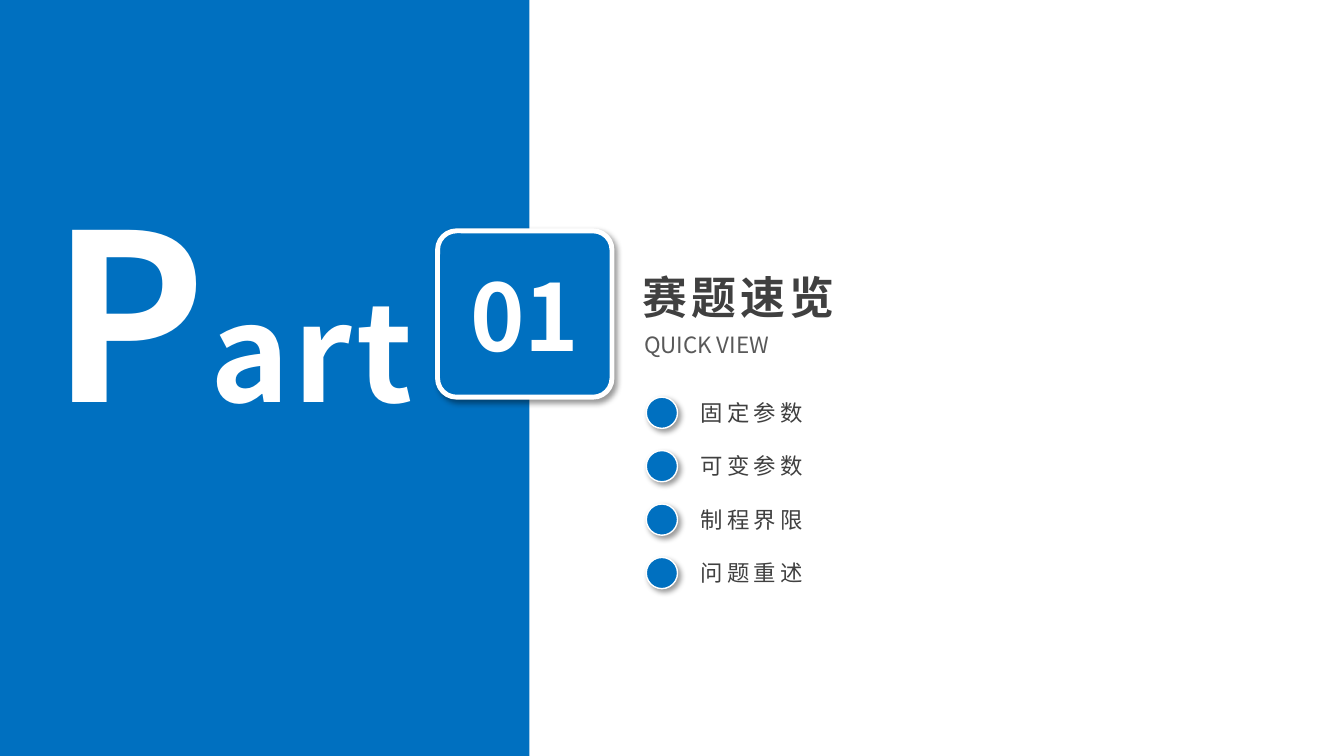
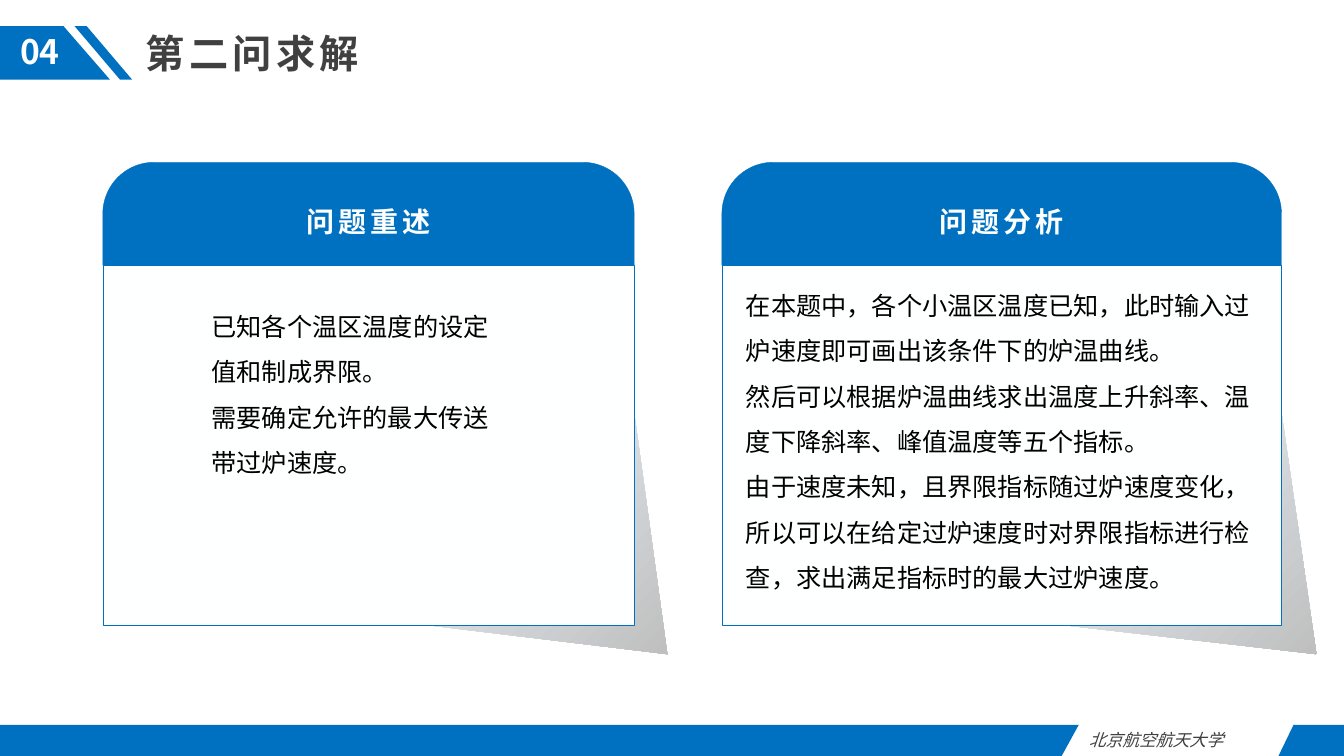
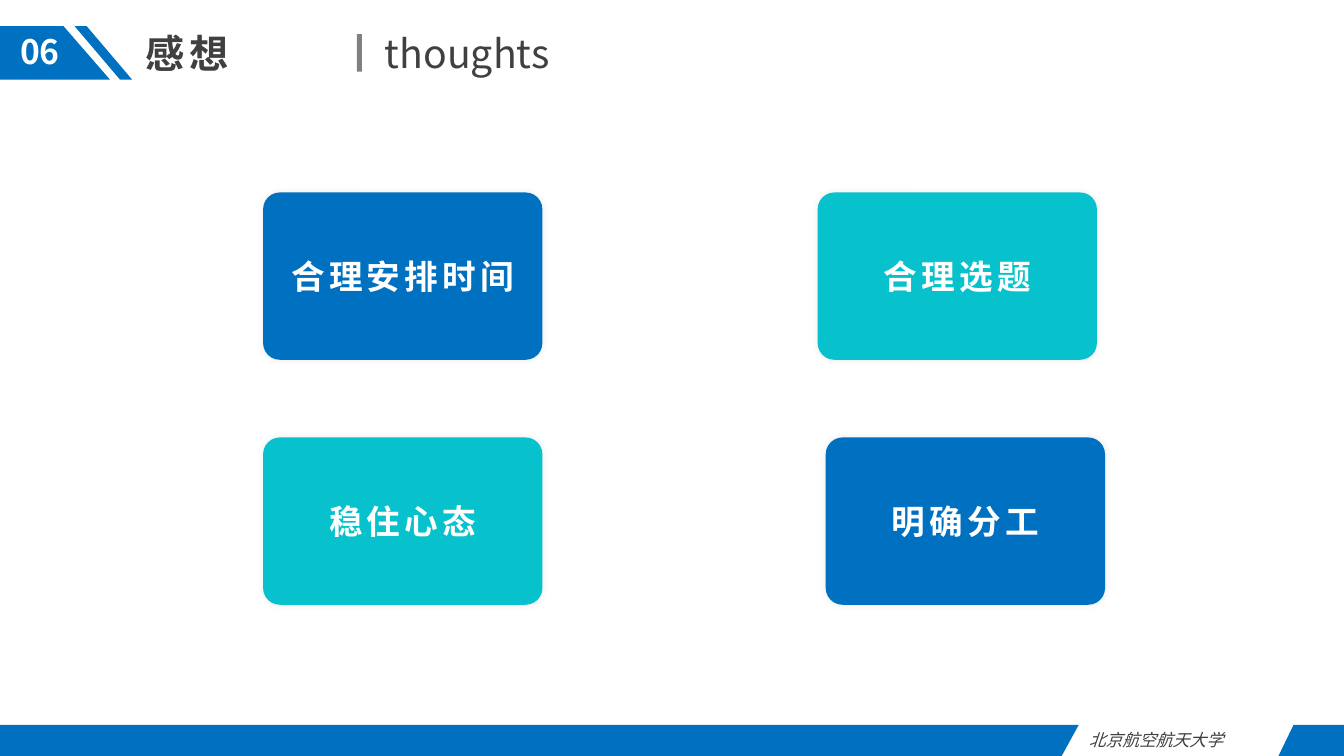
from dataclasses import dataclass
from typing import NamedTuple, Optional

from lxml import etree
from pptx import Presentation
from pptx import util as u
from pptx.dml.color import RGBColor
from pptx.enum import shapes, text
from pptx.oxml import ns
from pptx.shapes.autoshape import Shape
from pptx.slide import Slide
from pptx.text.text import TextFrame

Inches, Pt = u.Inches, u.Pt
Preset, Align = shapes.MSO_SHAPE, text.PP_ALIGN


@dataclass(frozen=True)
class Theme:
    font: str = "Noto Sans CJK SC"
    blue: str = "0070C0"
    teal: str = "07C1CC"
    white: str = "FFFFFF"
    paper: str = "FEFFFF"
    black: str = "000000"
    ink: str = "404040"
    subtitle: str = "595959"
    divider: str = "808080"
    fold_light: str = "EFF8FF"
    fold_dark: str = "BFBFBF"
    initial_size: float = 166
    part_size: float = 96
    number_size: float = 66
    section_size: float = 32
    title_size: float = 28
    tile_size: float = 24
    card_title_size: float = 20
    body_size: float = 18
    item_size: float = 16
    footer_size: float = 12
    tracking: float = 3


THEME = Theme()


class Box(NamedTuple):
    left: float
    top: float
    width: float
    height: float

    def lengths(self) -> list[u.Length]:
        return [Inches(value) for value in self]


class Shadow(NamedTuple):
    opacity: int
    blur: float
    distance: float
    angle: int


class Style(NamedTuple):
    size: float
    color: str = THEME.ink
    bold: bool = False
    italic: bool = False
    tracking: float = 0
    align: Optional[Align] = None
    spacing: Optional[float] = None


class Card(NamedTuple):
    left: float
    width: float
    title: str
    body_box: Box
    body: list[str]


class Tile(NamedTuple):
    left: float
    top: float
    label: str
    color: str


RAISED = Shadow(40, 4, 3, 45)
GLOW = Shadow(8, 5, 0, 0)


def style_paragraphs(frame: TextFrame, style: Style) -> None:
    for paragraph in frame.paragraphs:
        paragraph.alignment = style.align
        paragraph.line_spacing = style.spacing
        font = paragraph.font
        font.size, font.name = Pt(style.size), THEME.font
        font.bold, font.italic = style.bold, style.italic
        font.color.rgb = RGBColor.from_string(style.color)
        properties = paragraph._p.get_or_add_pPr().get_or_add_defRPr()
        properties.set("spc", str(int(style.tracking * 100)))
        etree.SubElement(properties, ns.qn("a:ea"), typeface=THEME.font)


def add_text(slide: Slide, box: Box, lines: list[str], style: Style,
             wrap: bool = True) -> TextFrame:
    frame = slide.shapes.add_textbox(*box.lengths()).text_frame
    frame.word_wrap = wrap
    frame.auto_size = text.MSO_AUTO_SIZE.SHAPE_TO_FIT_TEXT
    frame.text = "\n".join(lines)
    style_paragraphs(frame, style)
    return frame


def finish(shape: Shape, fill: str, line: Optional[str] = None,
           weight: float = 0, shadow: Optional[Shadow] = None) -> None:
    shape.fill.solid()
    shape.fill.fore_color.rgb = RGBColor.from_string(fill)
    if line:
        shape.line.color.rgb = RGBColor.from_string(line)
        shape.line.width = Pt(weight)
    else:
        shape.line.fill.background()
    shape.shadow.inherit = False
    if shadow:
        effects = shape._element.spPr.find(ns.qn("a:effectLst"))
        outer = etree.SubElement(
            effects, ns.qn("a:outerShdw"), blurRad=str(Pt(shadow.blur)),
            dist=str(Pt(shadow.distance)), dir=str(shadow.angle * 60000),
            algn="ctr", rotWithShape="0")
        tint = etree.SubElement(outer, ns.qn("a:srgbClr"), val=THEME.black)
        etree.SubElement(tint, ns.qn("a:alpha"), val=str(shadow.opacity * 1000))


def add_preset(slide: Slide, preset: Preset, box: Box, fill: str,
               line: Optional[str] = None, weight: float = 0,
               shadow: Optional[Shadow] = None,
               adjust: tuple[float, ...] = ()) -> Shape:
    shape = slide.shapes.add_shape(preset, *box.lengths())
    for index, value in enumerate(adjust):
        shape.adjustments[index] = value
    finish(shape, fill, line, weight, shadow)
    return shape


def add_label(shape: Shape, label: str, style: Style) -> None:
    frame = shape.text_frame
    frame.word_wrap = True
    frame.vertical_anchor = text.MSO_ANCHOR.MIDDLE
    frame.text = label
    style_paragraphs(frame, style)


def add_polygon(slide: Slide, points: list[tuple[float, float]],
                fill: str) -> Shape:
    corners = [(Inches(x), Inches(y)) for x, y in points]
    builder = slide.shapes.build_freeform(*corners[0])
    builder.add_line_segments(corners[1:], close=True)
    shape = builder.convert_to_shape()
    finish(shape, fill)
    return shape


def add_frame(slide: Slide, number: str, title: str, title_width: float) -> None:
    add_text(slide, Box(1.35, 0.24, title_width, 0.57), [title],
             Style(THEME.title_size, bold=True, tracking=THEME.tracking))
    bands = [
        [(0, 0.26), (0.63, 0.26), (1.09, 0.79), (0, 0.79)],
        [(0.86, 0.26), (1.31, 0.79), (1.19, 0.79), (0.74, 0.26)],
        [(0, 7.19), (10.7, 7.19), (10.53, 7.5), (0, 7.5)],
        [(12.83, 7.19), (13.33, 7.19), (13.33, 7.5), (12.68, 7.5)],
    ]
    for band in bands:
        add_polygon(slide, band, THEME.blue)
    add_text(slide, Box(0, 0.26, 0.79, 0.5), [number],
             Style(THEME.tile_size, THEME.white, bold=True, align=Align.CENTER))
    add_text(slide, Box(10.7, 7.19, 1.98, 0.3), ["北京航空航天大学"],
             Style(THEME.footer_size, italic=True, align=Align.JUSTIFY))


def add_card(slide: Slide, card: Card) -> None:
    top, middle, bottom = 1.61, 2.63, 6.2
    right = card.left + card.width
    fold = add_polygon(slide, [
        (right, 4.09), (right + card.width / 16, 6.49),
        (right - card.width * 0.44, 6.17), (right, 6.17)], THEME.fold_dark)
    fold.fill.gradient()
    fold.fill.gradient_angle = 315
    for stop, color in zip(fold.fill.gradient_stops,
                           (THEME.fold_light, THEME.fold_dark)):
        stop.color.rgb = RGBColor.from_string(color)
    header = add_preset(slide, Preset.ROUND_2_SAME_RECTANGLE,
                        Box(card.left, top, card.width, middle - top),
                        THEME.blue, THEME.blue, 0.25, adjust=(0.5, 0))
    add_label(header, card.title,
              Style(THEME.card_title_size, THEME.paper, bold=True,
                    tracking=THEME.tracking, align=Align.CENTER))
    add_preset(slide, Preset.RECTANGLE,
               Box(card.left, middle, card.width, bottom - middle),
               THEME.paper, THEME.blue, 0.25)
    add_text(slide, card.body_box, card.body,
             Style(THEME.body_size, THEME.black, spacing=1.5))


def build_section(slide: Slide) -> None:
    add_preset(slide, Preset.RECTANGLE, Box(0, 0, 5.25, 7.5), THEME.blue)
    part = add_text(slide, Box(-0.83, 1.64, 6.27, 2.89), [""],
                    Style(THEME.part_size, THEME.white, bold=True,
                          tracking=THEME.tracking, align=Align.CENTER))
    for letters, size in (("P", THEME.initial_size), ("art", THEME.part_size)):
        run = part.paragraphs[0].add_run()
        run.text = letters
        run.font.size = Pt(size)
    add_preset(slide, Preset.ROUNDED_RECTANGLE, Box(4.34, 2.29, 1.73, 1.65),
               THEME.blue, THEME.white, 3.5, RAISED, (0.114,))
    add_text(slide, Box(4.28, 2.52, 1.85, 1.21), ["01"],
             Style(THEME.number_size, THEME.white, bold=True, align=Align.CENTER))
    add_text(slide, Box(6.27, 2.63, 3.79, 0.64), ["赛题速览"],
             Style(THEME.section_size, bold=True, tracking=THEME.tracking))
    add_text(slide, Box(6.29, 3.24, 3.27, 0.37), ["QUICK VIEW"],
             Style(THEME.item_size, THEME.subtitle))
    for row, topic in enumerate(["固定参数", "可变参数", "制程界限", "问题重述"]):
        top = 3.91 + 0.53 * row
        add_preset(slide, Preset.OVAL, Box(6.41, top + 0.03, 0.31, 0.31),
                   THEME.blue, THEME.white, 1, RAISED)
        add_text(slide, Box(6.85, top, 1.79, 0.37), [topic],
                 Style(THEME.item_size, tracking=THEME.tracking))


def build_problem(slide: Slide) -> None:
    add_frame(slide, "04", "第二问求解", 2.57)
    cards = [
        Card(1.02, 5.27, "问题重述", Box(2, 2.89, 2.97, 1.92), [
            "已知各个温区温度的设定值和制成界限。",
            "需要确定允许的最大传送带过炉速度。"]),
        Card(7.16, 5.55, "问题分析", Box(7.3, 2.68, 5.27, 3.23), [
            "在本题中，各个小温区温度已知，此时输入过炉速度即可画出该条件下的炉温曲线。",
            "然后可以根据炉温曲线求出温度上升斜率、温度下降斜率、峰值温度等五个指标。",
            "由于速度未知，且界限指标随过炉速度变化，所以可以在给定过炉速度时对界限指标"
            "进行检查，求出满足指标时的最大过炉速度。"]),
    ]
    for card in cards:
        add_card(slide, card)


def build_thoughts(slide: Slide) -> None:
    add_frame(slide, "06", "感想", 1.96)
    add_preset(slide, Preset.RECTANGLE, Box(3.54, 0.34, 0.05, 0.37), THEME.divider)
    add_text(slide, Box(3.72, 0.24, 1.9, 0.57), ["thoughts"],
             Style(THEME.title_size), wrap=False)
    tiles = [
        Tile(2.61, 1.91, "合理安排时间", THEME.blue),
        Tile(8.11, 1.91, "合理选题", THEME.teal),
        Tile(8.19, 4.34, "明确分工", THEME.blue),
        Tile(2.61, 4.34, "稳住心态", THEME.teal),
    ]
    for tile in tiles:
        panel = add_preset(slide, Preset.ROUNDED_RECTANGLE,
                           Box(tile.left, tile.top, 2.77, 1.66), tile.color,
                           shadow=GLOW, adjust=(0.1,))
        add_label(panel, tile.label,
                  Style(THEME.tile_size, THEME.white, bold=True,
                        tracking=THEME.tracking, align=Align.CENTER))


def main() -> None:
    deck = Presentation()
    deck.slide_width, deck.slide_height = Inches(13.33), Inches(7.5)
    blank = deck.slide_layouts[6]
    for build in (build_section, build_problem, build_thoughts):
        build(deck.slides.add_slide(blank))
    deck.save("out.pptx")


if __name__ == "__main__":
    main()
